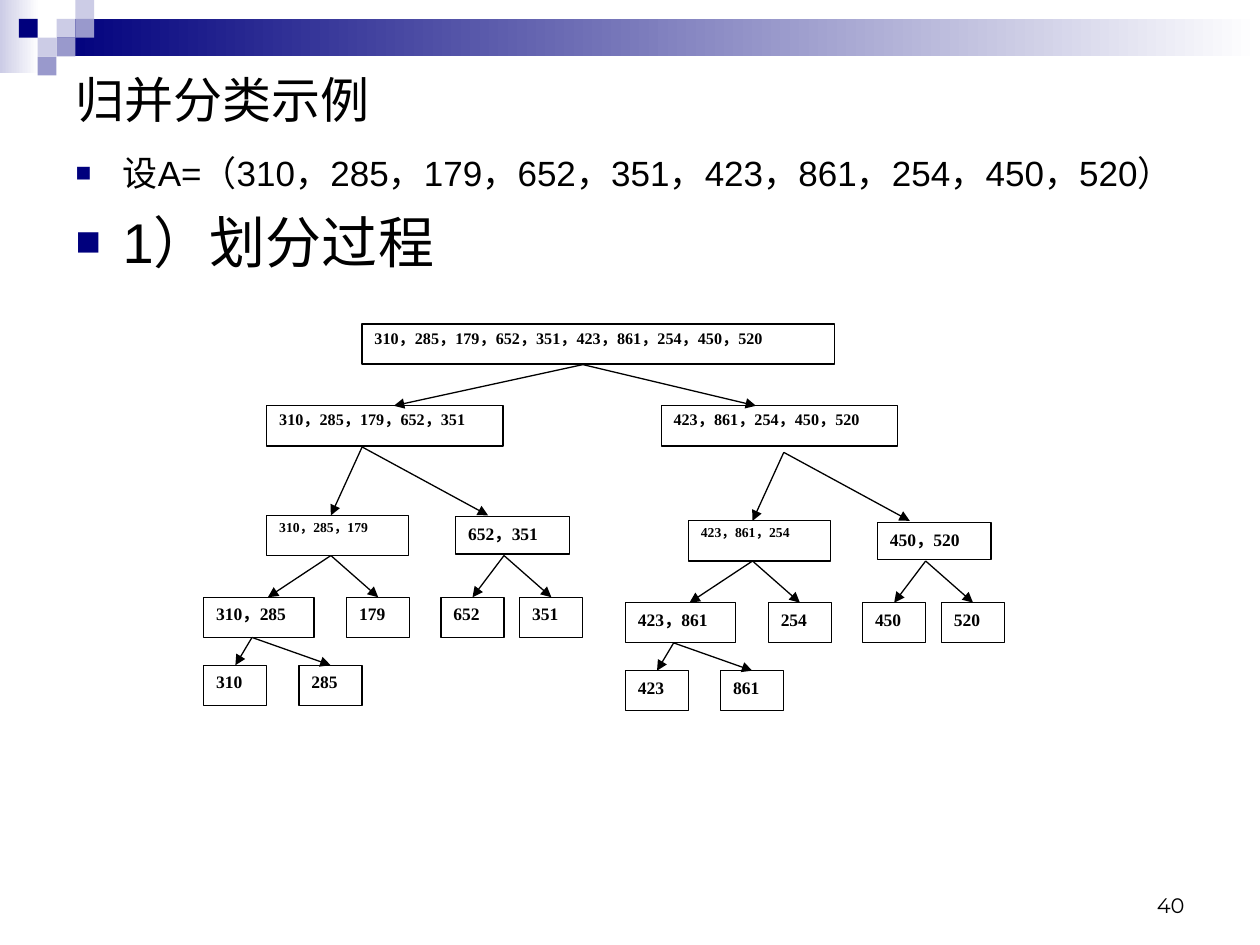
"""Build the slide that shows how merge sort divides a list."""
from dataclasses import dataclass

from lxml.etree import SubElement
from pptx import Presentation
from pptx.dml.color import RGBColor
from pptx.enum.shapes import MSO_CONNECTOR, MSO_SHAPE
from pptx.enum.text import MSO_ANCHOR, MSO_AUTO_SIZE, PP_ALIGN
from pptx.oxml.ns import qn
from pptx.util import Cm, Pt

BLACK, WHITE = "000000", "FFFFFF"
NAVY, LILAC, LAVENDER = "00007D", "9999CC", "CCCCE6"
SQUARE = 0.38
BOX_HEIGHT = 0.81
LEAF_WIDTH = 1.27


@dataclass(frozen=True)
class Sublist:
    numbers: str
    left: float
    top: float
    width: float = LEAF_WIDTH
    height: float = BOX_HEIGHT
    size: float = 10
    spacing: float = 1.0


@dataclass(frozen=True)
class Split:
    start: tuple[float, float]
    end: tuple[float, float]
    leaf: str = ""


def colour(code: str) -> RGBColor:
    return RGBColor.from_string(code)


def write(paragraph, text: str, *, size: float, font: str = "Arial",
          bold: bool = False, align=PP_ALIGN.LEFT, spacing: float = 1.0,
          before: float = 0) -> None:
    paragraph.alignment = align
    paragraph.line_spacing = spacing
    paragraph.space_before = Pt(before)
    run = paragraph.add_run()
    run.text = text
    run.font.name = font
    run.font.size = Pt(size)
    run.font.bold = bold
    run.font.color.rgb = colour(BLACK)


def add_bullet(paragraph) -> None:
    properties = paragraph._p.get_or_add_pPr()
    properties.set("marL", str(Cm(0.95)))
    properties.set("indent", str(-Cm(0.95)))
    tint = SubElement(properties, qn("a:buClr"))
    SubElement(tint, qn("a:srgbClr"), val=NAVY)
    SubElement(properties, qn("a:buSzPct"), val="75000")
    SubElement(properties, qn("a:buFont"), typeface="Arial")
    SubElement(properties, qn("a:buChar"), char="■")


def place(placeholder, left: float, top: float, width: float, height: float,
          anchor: MSO_ANCHOR):
    placeholder.left, placeholder.top = Cm(left), Cm(top)
    placeholder.width, placeholder.height = Cm(width), Cm(height)
    frame = placeholder.text_frame
    frame.auto_size = MSO_AUTO_SIZE.NONE
    frame.vertical_anchor = anchor
    return frame


def add_rectangle(slide, left: float, top: float, width: float, height: float,
                  fill: str, fade: bool = False):
    rectangle = slide.shapes.add_shape(
        MSO_SHAPE.RECTANGLE, Cm(left), Cm(top), Cm(width), Cm(height))
    rectangle.shadow.inherit = False
    rectangle.line.fill.background()
    if fade:
        rectangle.fill.gradient()
        rectangle.fill.gradient_angle = 0
        for stop, code in zip(rectangle.fill.gradient_stops, (fill, WHITE)):
            stop.color.rgb = colour(code)
    else:
        rectangle.fill.solid()
        rectangle.fill.fore_color.rgb = colour(fill)
    return rectangle


def add_sublist(slide, sublist: Sublist, right: float, down: float):
    box = add_rectangle(slide, sublist.left + right, sublist.top + down,
                        sublist.width, sublist.height, WHITE)
    box.line.color.rgb = colour(BLACK)
    box.line.width = Pt(0.75)
    frame = box.text_frame
    frame.word_wrap = True
    frame.vertical_anchor = MSO_ANCHOR.TOP
    write(frame.paragraphs[0], sublist.numbers, size=sublist.size,
          font="Times New Roman", bold=True, align=PP_ALIGN.JUSTIFY,
          spacing=sublist.spacing)
    return box


def add_split(slide, split: Split, right: float, down: float, boxes: dict) -> None:
    (start_x, start_y), (end_x, end_y) = split.start, split.end
    arrow = slide.shapes.add_connector(
        MSO_CONNECTOR.STRAIGHT, Cm(start_x + right), Cm(start_y + down),
        Cm(end_x + right), Cm(end_y + down))
    if split.leaf:
        arrow.end_connect(boxes[split.leaf], 0)
    arrow.line.color.rgb = colour(BLACK)
    arrow.line.width = Pt(0.75)
    properties = arrow._element.spPr
    SubElement(properties.find(qn("a:ln")), qn("a:tailEnd"), type="triangle")
    SubElement(properties, qn("a:effectLst"))


def add_tree(slide, sublists: list[Sublist], splits: list[Split],
             right: float = 0, down: float = 0) -> None:
    boxes = {sublist.numbers: add_sublist(slide, sublist, right, down)
             for sublist in sublists}
    for split in splits:
        add_split(slide, split, right, down, boxes)


def add_half(slide, numbers: list[str], right: float, down: float) -> None:
    first, second, third, fourth, fifth = numbers
    upper, middle, lower = 10.39, 12.04, 13.41
    sublists = [
        Sublist("，".join(numbers[:3]), 5.38, upper, 2.86, size=7.8, spacing=0.8),
        Sublist("，".join(numbers[3:]), 9.19, 10.42, 2.29, 0.75),
        Sublist("，".join(numbers[:2]), 4.11, middle, 2.22),
        Sublist(third, 6.99, middle),
        Sublist(fourth, 8.89, middle),
        Sublist(fifth, 10.48, middle),
        Sublist(first, 4.11, lower),
        Sublist(second, 6.03, lower),
    ]
    half, triple, pair, tail = (7.3, 9.01), (6.67, 11.2), (5.08, 12.85), (10.16, 11.2)
    splits = [
        Split(half, (6.67, upper)),
        Split(half, (9.84, upper)),
        Split(triple, (5.4, middle)),
        Split(triple, (7.62, middle), third),
        Split(pair, (4.75, lower), first),
        Split(pair, (6.67, lower), second),
        Split(tail, (9.52, middle), fourth),
        Split(tail, (11.11, middle), fifth),
    ]
    add_tree(slide, sublists, splits, right, down)


def add_header(slide) -> None:
    add_rectangle(slide, 0, 0, 0.79, 1.47, LAVENDER, fade=True)
    add_rectangle(slide, 1.14, SQUARE, 24.26, 0.75, NAVY, fade=True)
    squares = [(3, 1, LAVENDER), (4, 0, LAVENDER), (4, 1, LILAC), (2, 2, LAVENDER),
               (1, 1, NAVY), (3, 2, LILAC), (2, 3, LILAC)]
    for column, row, fill in squares:
        add_rectangle(slide, column * SQUARE, row * SQUARE, SQUARE, SQUARE, fill)


def main() -> None:
    deck = Presentation()
    deck.slide_width, deck.slide_height = Cm(25.4), Cm(19.05)
    slide = deck.slides.add_slide(deck.slide_layouts[1])
    add_header(slide)

    title = place(slide.shapes.title, 1.27, 1.27, 22.86, 1.45, MSO_ANCHOR.MIDDLE)
    write(title.paragraphs[0], "归并分类示例", size=28)

    numbers = ["310", "285", "179", "652", "351", "423", "861", "254", "450", "520"]
    everything = "，".join(numbers)
    body = place(slide.placeholders[1], 1.27, 2.92, 22.86, 13.39, MSO_ANCHOR.TOP)
    given, step = body.paragraphs[0], body.add_paragraph()
    add_bullet(given)
    add_bullet(step)
    write(given, f"设A=（{everything}）", size=20)
    write(step, "1）划分过程", size=32, before=8)

    left_half, right_half = numbers[:5], numbers[5:]
    root = (11.75, 7.35)
    add_tree(
        slide,
        [Sublist(everything, 7.3, 6.53, 9.52, size=9.2, spacing=0.9),
         Sublist("，".join(left_half), 5.38, 8.18, 4.76, size=9.2, spacing=0.9),
         Sublist("，".join(right_half), 13.33, 8.18, 4.76, size=9.2, spacing=0.9)],
        [Split(root, (7.94, 8.18)), Split(root, (15.24, 8.18))])
    add_half(slide, left_half, 0, 0)
    add_half(slide, right_half, 8.5, 0.11)

    page = slide.shapes.add_textbox(Cm(18.21), Cm(17.35), Cm(5.92), Cm(1.27)).text_frame
    page.word_wrap = True
    page.vertical_anchor = MSO_ANCHOR.BOTTOM
    write(page.paragraphs[0], "40", size=12, font="Montserrat", align=PP_ALIGN.RIGHT)
    deck.save("out.pptx")


if __name__ == "__main__":
    main()
